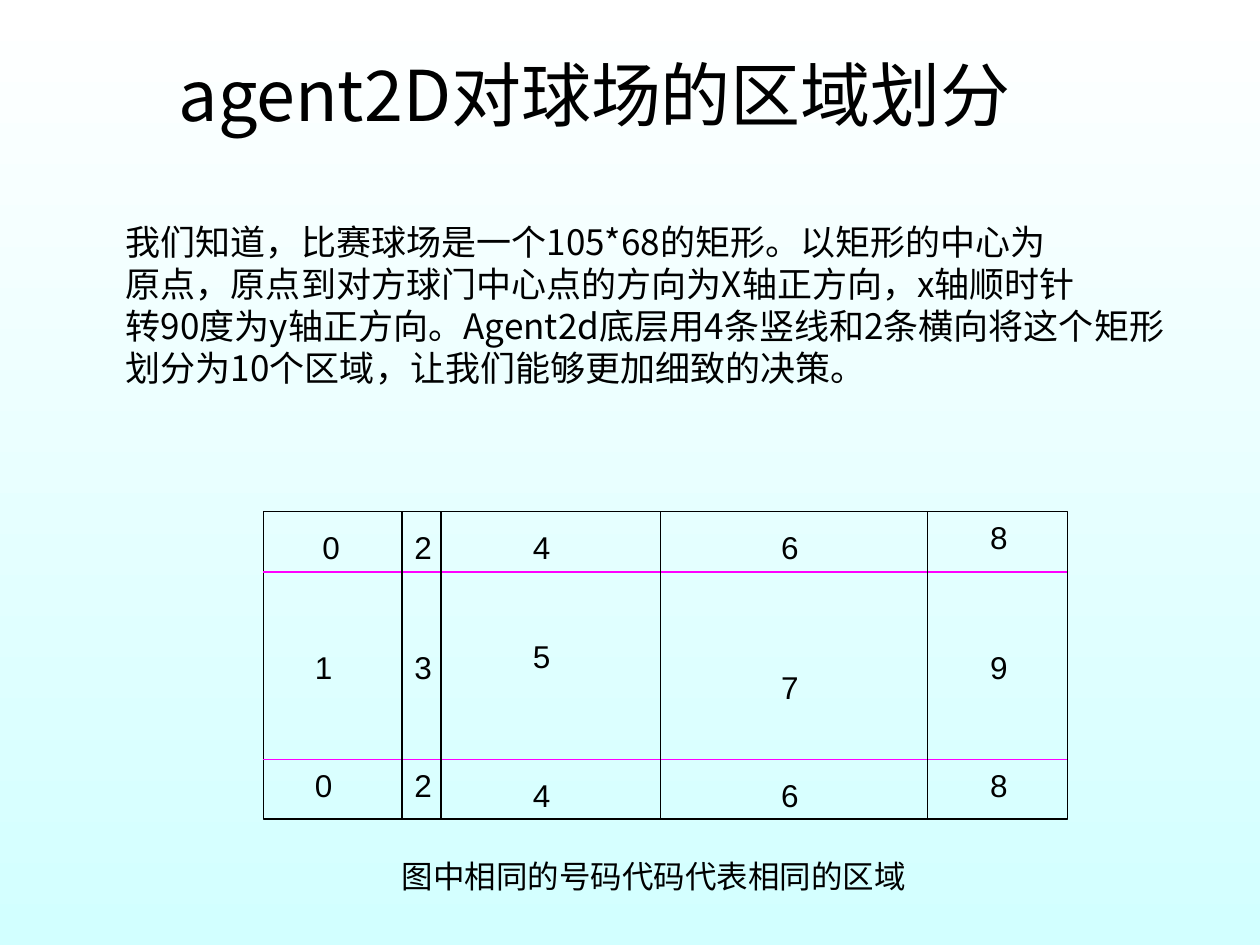
from lxml import etree
from pptx import Presentation
from pptx.dml.color import RGBColor
from pptx.enum import shapes, text
from pptx.oxml import ns
from pptx.util import Inches, Pt

HUES = {"ink": "000000", "band": "FF00FF", "top": "FFFFFF", "base": "D2FFFF"}
HAN = "Noto Sans CJK SC"


def write(shape, words, size, font, wrap=True, align=text.PP_ALIGN.LEFT):
    """Fill a text shape and give every run the same look."""
    frame = shape.text_frame
    frame.text = words
    frame.word_wrap = wrap
    frame.auto_size = text.MSO_AUTO_SIZE.SHAPE_TO_FIT_TEXT
    frame.vertical_anchor = text.MSO_ANCHOR.TOP
    for para in frame.paragraphs:
        para.alignment = align
        for run in para.runs:
            run.font.size = Pt(size)
            run.font.color.rgb = RGBColor.from_string(HUES["ink"])
            run.font.name = font
            east = etree.SubElement(run.font._element, ns.qn("a:ea"))
            east.set("typeface", HAN)


def rule(x1, y1, x2, y2, hue):
    """Draw a thin straight line without a shadow."""
    line = slide.shapes.add_connector(
        shapes.MSO_CONNECTOR.STRAIGHT,
        Inches(x1), Inches(y1), Inches(x2), Inches(y2))
    line.line.color.rgb = RGBColor.from_string(HUES[hue])
    line.line.width = Pt(0.75)
    etree.SubElement(line._element.spPr, ns.qn("a:effectLst"))


deck = Presentation()
deck.slide_width, deck.slide_height = Inches(10), Inches(7.5)
slide = deck.slides.add_slide(deck.slide_layouts[5])

# Background
fill = slide.background.fill
fill.gradient()
fill.gradient_angle = 270
for stop, hue in zip(fill.gradient_stops, ("top", "base")):
    stop.color.rgb = RGBColor.from_string(HUES[hue])

# Title and introduction
title = slide.shapes.title
title.left, title.top = Inches(1.22), Inches(0.36)
title.width, title.height = Inches(7), Inches(0.77)
write(title, "agent2D对球场的区域划分", 40, HAN, False, text.PP_ALIGN.CENTER)

intro = slide.shapes.add_textbox(
    Inches(0.9), Inches(1.7), Inches(8.66), Inches(1.77))
write(intro, "\n".join([
    "我们知道，比赛球场是一个105*68的矩形。以矩形的中心为",
    "原点，原点到对方球门中心点的方向为X轴正方向，x轴顺时针",
    "转90度为y轴正方向。Agent2d底层用4条竖线和2条横向将这个"
    "矩形划分为10个区域，让我们能够更加细致的决策。",
]), 20, HAN)

# Pitch with its dividing lines
left, top, right, base = 2.09, 4.06, 8.47, 6.5
pitch = slide.shapes.add_shape(
    shapes.MSO_SHAPE.RECTANGLE, Inches(left), Inches(top),
    Inches(right - left), Inches(base - top))
pitch.shadow.inherit = False
pitch.fill.background()
pitch.line.color.rgb = RGBColor.from_string(HUES["ink"])
pitch.line.width = Pt(0.75)
for y in (4.54, 6.03):
    rule(left, y, right, y, "band")
for x in (3.19, 3.5, 5.24, 7.36):
    rule(x, top, x, base, "ink")

# Zone numbers: x of the top label, x of the others, width, then three tops;
# each column has an even number above and below an odd one
zones = [
    (2.46, 2.4, 0.49, (4.14, 5.09, 6.03)),
    (3.19, 3.19, 0.32, (4.14, 5.09, 6.03)),
    (4.13, 4.13, 0.32, (4.14, 5.01, 6.11)),
    (6.1, 6.1, 0.32, (4.14, 5.25, 6.11)),
    (7.76, 7.76, 0.32, (4.06, 5.09, 6.03)),
]
for col, (first, rest, width, tops) in enumerate(zones):
    for row, y in enumerate(tops):
        x = rest if row else first
        label = slide.shapes.add_textbox(
            Inches(x), Inches(y), Inches(width), Inches(0.4))
        write(label, str(2 * col + row % 2), 18, "Arial")

# Caption
note = slide.shapes.add_textbox(
    Inches(3.09), Inches(6.75), Inches(4.2), Inches(0.4))
write(note, "图中相同的号码代码代表相同的区域", 18, "Arial", False)

deck.save("out.pptx")
